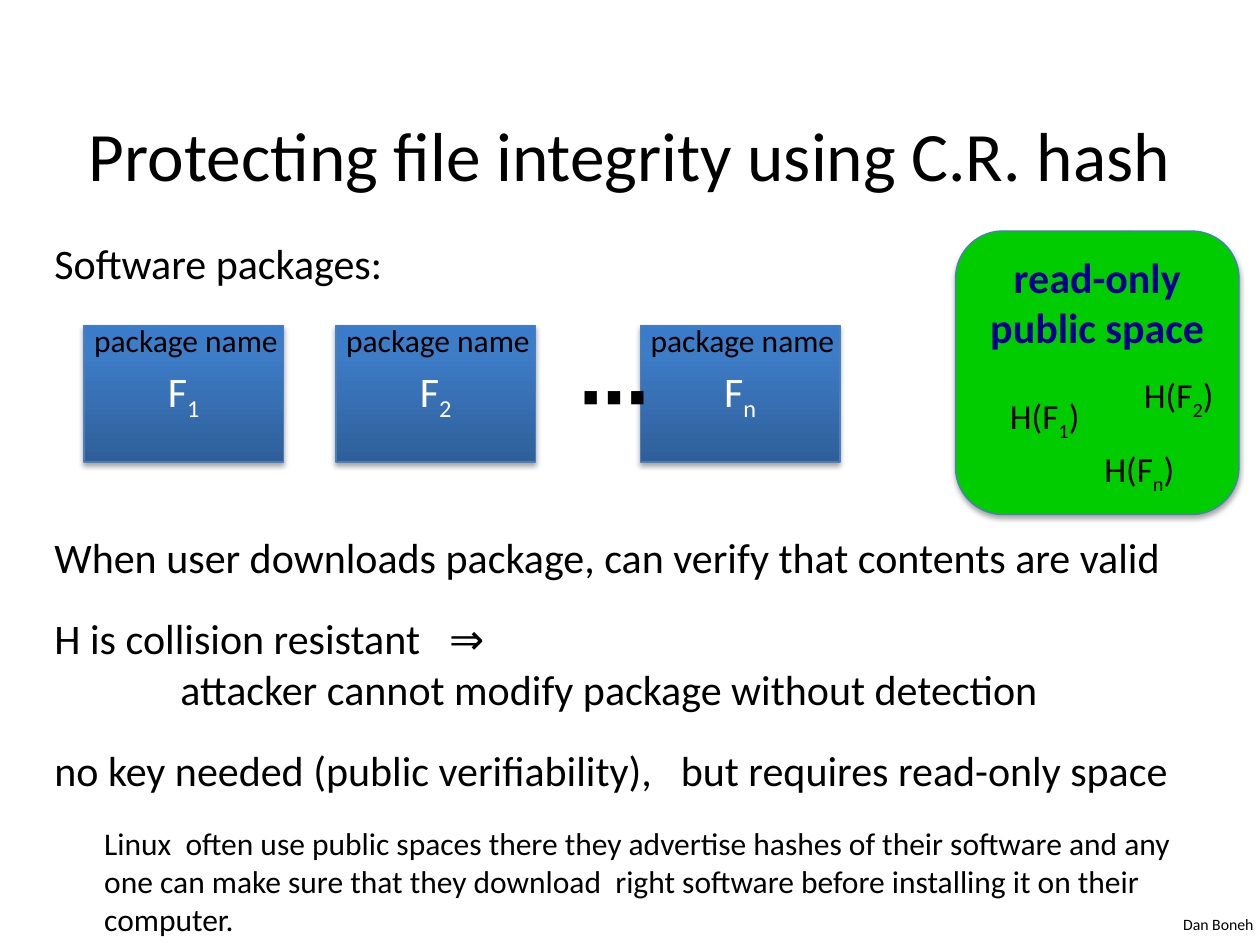
from copy import deepcopy
from dataclasses import dataclass
from typing import Any

from lxml.etree import SubElement
from pptx import Presentation
from pptx.dml.color import RGBColor
from pptx.enum.shapes import MSO_SHAPE
from pptx.enum.text import MSO_ANCHOR, MSO_AUTO_SIZE, PP_ALIGN
from pptx.oxml.ns import qn
from pptx.util import Pt

BLACK = RGBColor(0x00, 0x00, 0x00)
WHITE = RGBColor(0xFF, 0xFF, 0xFF)
NAVY = RGBColor(0x00, 0x00, 0x90)
GREEN = RGBColor(0x00, 0xCC, 0x00)
EDGE = RGBColor(0x4B, 0x7E, 0xBC)
BLUE_STOPS = [
    (0, RGBColor(0x2F, 0x5F, 0x99)),
    (0.8, RGBColor(0x3D, 0x7C, 0xC7)),
    (1, RGBColor(0x3A, 0x7C, 0xCB)),
]


@dataclass(frozen=True)
class Box:
    left: float
    top: float
    width: float
    height: float

    def lengths(self) -> list[Pt]:
        return [Pt(side) for side in (self.left, self.top, self.width, self.height)]


@dataclass(frozen=True)
class Package:
    index: str
    left: float
    hash_left: float
    hash_top: float


@dataclass(frozen=True)
class Claim:
    wording: str
    space_before: float = 0
    tab_stop: float = 0


PACKAGES = [
    Package("1", 48, 570, 222),
    Package("2", 192, 646.6, 210),
    Package("n", 366, 624, 252),
]
CLAIMS = [
    Claim("When user downloads package, can verify that contents are valid"),
    Claim("H is collision resistant\t⇒", 17.8, 225.6),
    Claim("\tattacker cannot modify package without detection", 0, 72),
    Claim("no key needed (public verifiability),\tbut requires read-only space", 17.8, 358),
]


def format_with(target: Any, values: dict[str, Any]) -> None:
    for name, value in values.items():
        setattr(target, name, value)


def write(paragraph: Any, wording: str, size: float, color: RGBColor = BLACK,
          bold: bool = False) -> None:
    for position, part in enumerate(wording.split("_")):
        for line_number, line in enumerate(part.split("\n")):
            if line_number:
                paragraph.add_line_break()
            run = paragraph.add_run()
            run.text = line
            format_with(run.font, {"name": "Calibri", "size": Pt(size), "bold": bold})
            run.font.color.rgb = color
            if position == 1:
                run._r.get_or_add_rPr().set("baseline", "-25000")


def add_label(shapes: Any, box: Box, wording: str, size: float, wrap: bool = False,
              bold: bool = False) -> None:
    frame = shapes.add_textbox(*box.lengths()).text_frame
    format_with(frame, {"word_wrap": wrap, "auto_size": MSO_AUTO_SIZE.SHAPE_TO_FIT_TEXT})
    write(frame.paragraphs[0], wording, size, bold=bold)


def add_shadow(panel: Any) -> None:
    panel.shadow.inherit = False
    effects = panel._element.spPr.find(qn("a:effectLst"))
    shadow = SubElement(effects, qn("a:outerShdw"), blurRad=str(Pt(3.1)),
                        dist=str(Pt(1.8)), dir="5400000", rotWithShape="0")
    shade = SubElement(shadow, qn("a:srgbClr"), val=str(BLACK))
    SubElement(shade, qn("a:alpha"), val="35000")


def fill_blue(panel: Any) -> None:
    panel.fill.gradient()
    panel.fill.gradient_angle = 90
    stop_list = panel._element.spPr.find(qn("a:gradFill")).find(qn("a:gsLst"))
    stop_list.append(deepcopy(stop_list[0]))
    for stop, (position, color) in zip(panel.fill.gradient_stops, BLUE_STOPS):
        stop.position = position
        stop.color.rgb = color


def add_panel(shapes: Any, kind: MSO_SHAPE, box: Box, wording: str, color: RGBColor,
              anchor: MSO_ANCHOR, bold: bool = False) -> Any:
    panel = shapes.add_shape(kind, *box.lengths())
    panel.line.color.rgb = EDGE
    panel.line.width = Pt(0.75)
    add_shadow(panel)
    format_with(panel.text_frame, {"word_wrap": True, "vertical_anchor": anchor})
    heading = panel.text_frame.paragraphs[0]
    heading.alignment = PP_ALIGN.CENTER
    write(heading, wording, 24, color, bold)
    return panel


def add_title(slide: Any) -> None:
    title = slide.shapes.title
    sides = ("left", "top", "width", "height")
    format_with(title, dict(zip(sides, Box(36, 54, 648, 67.5).lengths())))
    format_with(title.text_frame, {
        "word_wrap": True,
        "auto_size": MSO_AUTO_SIZE.NONE,
        "vertical_anchor": MSO_ANCHOR.MIDDLE,
    })
    heading = title.text_frame.paragraphs[0]
    heading.alignment = PP_ALIGN.CENTER
    write(heading, "Protecting file integrity using C.R. hash", 39.6)


def add_claims(slide: Any) -> None:
    frame = slide.shapes.add_textbox(*Box(24, 300, 666, 173).lengths()).text_frame
    frame.word_wrap = True
    for number, claim in enumerate(CLAIMS):
        paragraph = frame.add_paragraph() if number else frame.paragraphs[0]
        paragraph.space_before = Pt(claim.space_before)
        if claim.tab_stop:
            tabs = SubElement(paragraph._p.get_or_add_pPr(), qn("a:tabLst"))
            SubElement(tabs, qn("a:tab"), pos=str(Pt(claim.tab_stop)), algn="l")
        write(paragraph, claim.wording, 24)


def add_packages(slide: Any) -> None:
    for package in PACKAGES:
        panel = add_panel(slide.shapes, MSO_SHAPE.RECTANGLE, Box(package.left, 186, 114, 78),
                          f"F_{package.index}", WHITE, MSO_ANCHOR.MIDDLE)
        fill_blue(panel)
        add_label(slide.shapes, Box(package.left - 1.3, 180, 121, 29), "package name", 18)
    add_label(slide.shapes, Box(324, 198, 48, 55.5), "⋯", 40, bold=True)


def add_public_space(slide: Any) -> None:
    group = slide.shapes.add_group_shape()
    space = add_panel(group.shapes, MSO_SHAPE.ROUNDED_RECTANGLE, Box(546, 132, 162, 162),
                      "read-only\npublic space", NAVY, MSO_ANCHOR.TOP, bold=True)
    space.fill.solid()
    space.fill.fore_color.rgb = GREEN
    for package in PACKAGES:
        add_label(group.shapes, Box(package.hash_left, package.hash_top, 55.5, 31.5),
                  f"H(F_{package.index}_)", 20)


def main() -> None:
    presentation = Presentation()
    format_with(presentation, {"slide_width": Pt(720), "slide_height": Pt(540)})
    slide = presentation.slides.add_slide(presentation.slide_layouts[5])
    add_label(slide.shapes, Box(669, 519, 54.5, 18), "Dan Boneh", 9)
    add_title(slide)
    add_claims(slide)
    add_packages(slide)
    add_public_space(slide)
    add_label(slide.shapes, Box(24, 132, 205, 36), "Software packages:", 24)
    add_label(slide.shapes, Box(52.5, 467.5, 629, 72.5),
              "Linux  often use public spaces there they advertise hashes of their software "
              "and any one can make sure that they download  right software before "
              "installing it on their computer.", 18, wrap=True)
    presentation.save("out.pptx")


if __name__ == "__main__":
    main()
